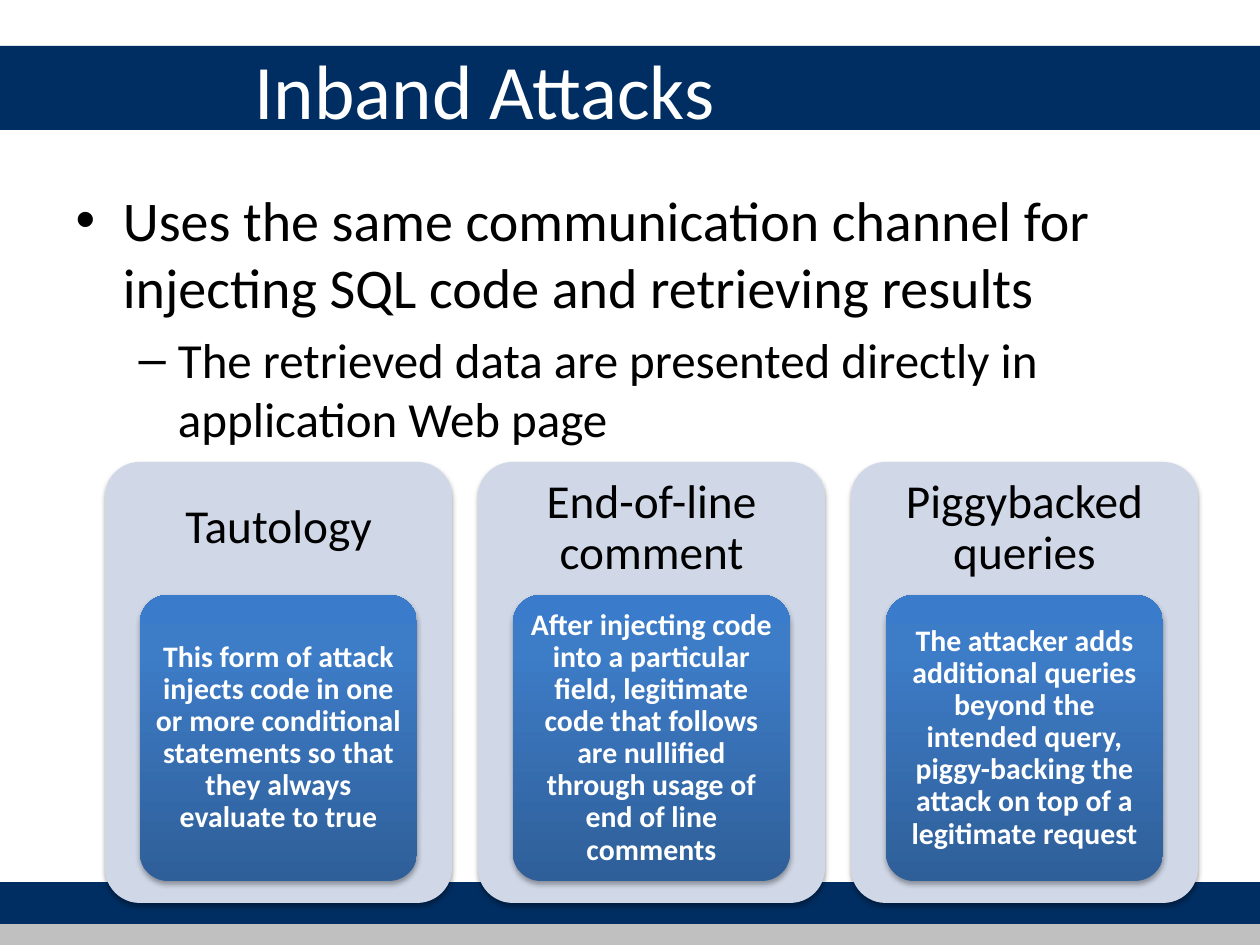
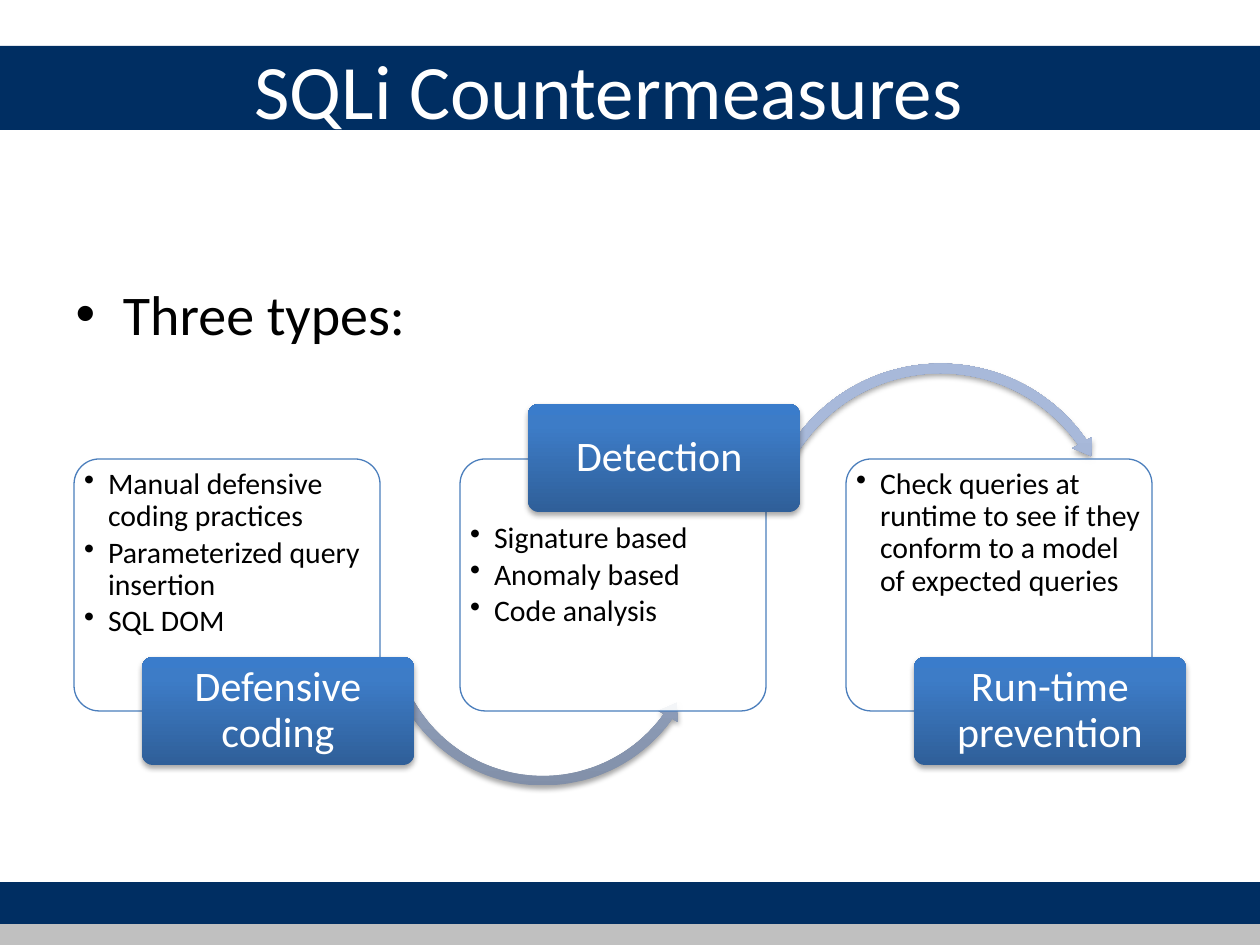
import pptx
import pptx.util
import pptx.dml.color
import pptx.enum.shapes
import pptx.enum.text
import pptx.oxml
import pptx.oxml.ns

SCALE = 914400 / 126  # EMU in one px
FONT = "Calibri"
HUES = {
    "navy": "002E62", "grey": "C0C0C0", "white": "FFFFFF", "black": "000000",
    "card": "D0D8E8", "edge": "4B7EBC",
}
# Gradient stops from bottom to top
FADES = {
    "blue": {0: "2F5F99", 80: "3D7CC7", 100: "3A7CCB"},
    "steel": {0: "818FA8", 80: "A8B9DA", 100: "A7BADC"},
}
SHAPE = pptx.enum.shapes.MSO_SHAPE
ALIGN = pptx.enum.text.PP_ALIGN
ANCHOR = pptx.enum.text.MSO_ANCHOR
CURVE = 0.1  # corner radius as a part of the shorter side


def px(count):
    return pptx.util.Emu(round(count * SCALE))


def hue(name):
    return pptx.dml.color.RGBColor.from_string(HUES[name])


def xml(text):
    """Parse one element, with the drawing namespace declared on it."""
    tag, rest = text[:text.index(" ")], text[text.index(" "):]
    return pptx.oxml.parse_xml(f"{tag} {pptx.oxml.ns.nsdecls('a')}{rest}")


def place(shape, left, top, width, height):
    shape.left, shape.top = px(left), px(top)
    shape.width, shape.height = px(width), px(height)


def write(frame, lines, size, color="black", bold=None, align=ALIGN.LEFT,
          space=None, after=None, dots=False):
    """Fill a text frame; each line is a text or a (text, level, size) tuple."""
    frame.word_wrap = True
    frame.auto_size = pptx.enum.text.MSO_AUTO_SIZE.NONE
    for i, line in enumerate(lines):
        text, level, points = line if isinstance(line, tuple) else (line, 0, size)
        para = frame.paragraphs[0] if i == 0 else frame.add_paragraph()
        para.level, para.alignment = level, align
        if dots:
            props = para._p.get_or_add_pPr()
            props.set("marL", str(px(24)))
            props.set("indent", str(-px(24)))
            props.append(xml('<a:buChar char="•"/>'))
        if i == 0:
            para.space_before = pptx.util.Pt(0)
        if space:
            para.line_spacing = space
        if after:
            para.space_after = pptx.util.Pt(after)
        run = para.add_run()
        run.text = text
        run.font.name, run.font.size = FONT, pptx.util.Pt(points)
        run.font.bold = bold
        run.font.color.rgb = hue(color)


def draw(slide, kind, box, fill=None, fade=None, edge=None, shade=False):
    """Add a preset shape with a flat or graded fill, and a soft shadow if asked."""
    shape = slide.shapes.add_shape(kind, *map(px, box))
    props = shape._element.spPr
    shape.shadow.inherit = False
    if edge:
        shape.line.color.rgb = hue(edge)
        shape.line.width = pptx.util.Pt(0.75)
    else:
        shape.line.fill.background()
    if fill:
        shape.fill.solid()
        shape.fill.fore_color.rgb = hue(fill)
    if fade:
        stops = "".join(f'<a:gs pos="{pos * 1000}"><a:srgbClr val="{val}"/></a:gs>'
                        for pos, val in FADES[fade].items())
        props.insert(2, xml(f'<a:gradFill rotWithShape="1"><a:gsLst>{stops}</a:gsLst>'
                            '<a:lin ang="16200000" scaled="0"/></a:gradFill>'))
    if shade:
        props.find(pptx.oxml.ns.qn("a:effectLst")).append(xml(
            '<a:outerShdw blurRad="40000" dist="23000" dir="5400000" rotWithShape="0">'
            '<a:srgbClr val="000000"><a:alpha val="35000"/></a:srgbClr></a:outerShdw>'))
    return shape


def block(slide, box, lines, size, pads, anchor=ANCHOR.MIDDLE, look=None, **form):
    """Add a rounded box with text; pads run left, top, right, bottom."""
    shape = draw(slide, SHAPE.ROUNDED_RECTANGLE, box, **(look or {}))
    shape.adjustments[0] = CURVE
    # The preset already keeps text clear of its corners by this much
    clear = 0.29 * CURVE * min(box[2:])
    frame = shape.text_frame
    (frame.margin_left, frame.margin_top,
     frame.margin_right, frame.margin_bottom) = (px(pad - clear) for pad in pads)
    frame.vertical_anchor = anchor
    write(frame, lines, size, space=0.9, **form)
    return shape


def card(slide, left, head, note):
    block(slide, (left, 462, 347, 441), [head], 27, (14, 14, 14, 322),
          look={"fill": "card", "shade": True}, align=ALIGN.CENTER)
    block(slide, (left + 35, 595, 277, 286), [note], 17, (14, 13, 14, 13),
          look={"fade": "blue", "shade": True}, align=ALIGN.CENTER,
          color="white", bold=True)


def panel(slide, left, lines, high):
    """Add a list box, leaving room for its label at the top or the bottom."""
    pads = (10, 64, 10, 10) if high else (10, 10, 10, 64)
    shape = block(slide, (left, 459, 306, 252), lines, 17, pads, ANCHOR.TOP,
                  look={"fill": "white", "edge": "edge"}, after=2.5, dots=True)
    tint = shape._element.spPr.find(pptx.oxml.ns.qn("a:solidFill"))[0]
    tint.append(xml('<a:alpha val="90000"/>'))


def label(slide, left, text, high):
    block(slide, (left + 68, 404 if high else 657, 272, 108), [text], 24, (10, 8, 10, 8),
          look={"fade": "blue", "shade": True}, align=ALIGN.CENTER, color="white")


def arrow(slide, kind, box, bends):
    shape = draw(slide, kind, box, fade="steel", shade=True)
    for i, bend in enumerate(bends):
        shape.adjustments[i] = bend


def bands(slide):
    """Put the coloured bands on the layout that the slides share."""
    tree = slide.slide_layout.shapes._spTree
    for top, height, fill in ((882, 42, "navy"), (46, 84, "navy"), (924, 21, "grey")):
        band = draw(slide, SHAPE.RECTANGLE, (0, top, 1260, height), fill=fill)
        tree.insert(2, band._element)


def page(deck, title, lines, top, height):
    slide = deck.slides.add_slide(deck.slide_layouts[1])
    head, body = slide.placeholders
    place(head, 242, 10, 998, 158)
    head.text_frame.vertical_anchor = ANCHOR.MIDDLE
    write(head.text_frame, [title], 44, "white")
    place(body, 63, top, 1134, height)
    write(body.text_frame, lines, 32)
    return slide


def attacks(deck):
    slide = page(deck, "Inband Attacks", [
        "Uses the same communication channel for injecting SQL code and retrieving results",
        ("The retrieved data are presented directly in application Web page", 1, 28),
    ], 179, 665)
    cards = {
        "Tautology": "This form of attack injects code in one or more conditional "
                     "statements so that they always evaluate to true",
        "End-of-line comment": "After injecting code into a particular field, legitimate "
                               "code that follows are nullified through usage of end of "
                               "line comments",
        "Piggybacked queries": "The attacker adds additional queries beyond the intended "
                               "query, piggy-backing the attack on top of a legitimate "
                               "request",
    }
    for i, (head, note) in enumerate(cards.items()):
        card(slide, 105 + 373 * i, head, note)
    return slide


def defences(deck):
    slide = page(deck, "SQLi Countermeasures", ["Three types:"], 273, 758)
    steps = [
        ("Defensive coding", ["Manual defensive coding practices",
                              "Parameterized query insertion", "SQL DOM"],
         (SHAPE.LEFT_CIRCULAR_ARROW, (378, 462, 330, 330),
          (0.029, 3.585, 21.34, 90.245, 0.034))),
        ("Detection ", ["Signature based", "Anomaly based", "Code analysis"],
         (SHAPE.CIRCULAR_ARROW, (756, 357, 369, 369),
          (0.026, 3.182, 195.063, 125.755, 0.031))),
        ("Run-time prevention", ["Check queries at runtime to see if they conform to "
                                 "a model of expected queries"], None),
    ]
    for i, (name, lines, link) in enumerate(steps):
        left, high = 74 + 386 * i, i % 2 == 1
        panel(slide, left, lines, high)
        if link:
            arrow(slide, *link)
        label(slide, left, name, high)


def main():
    deck = pptx.Presentation()
    deck.slide_width, deck.slide_height = px(1260), px(945)
    bands(attacks(deck))
    defences(deck)
    deck.save("out.pptx")


if __name__ == "__main__":
    main()
